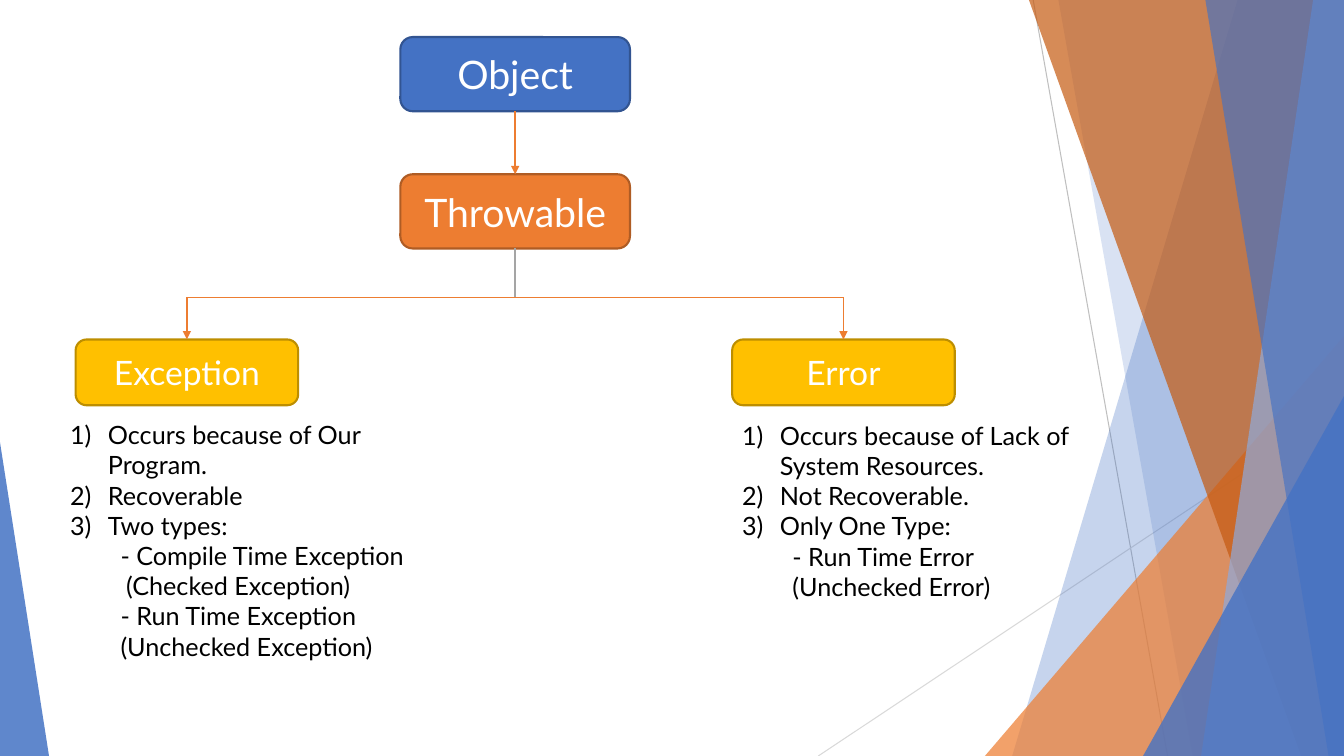
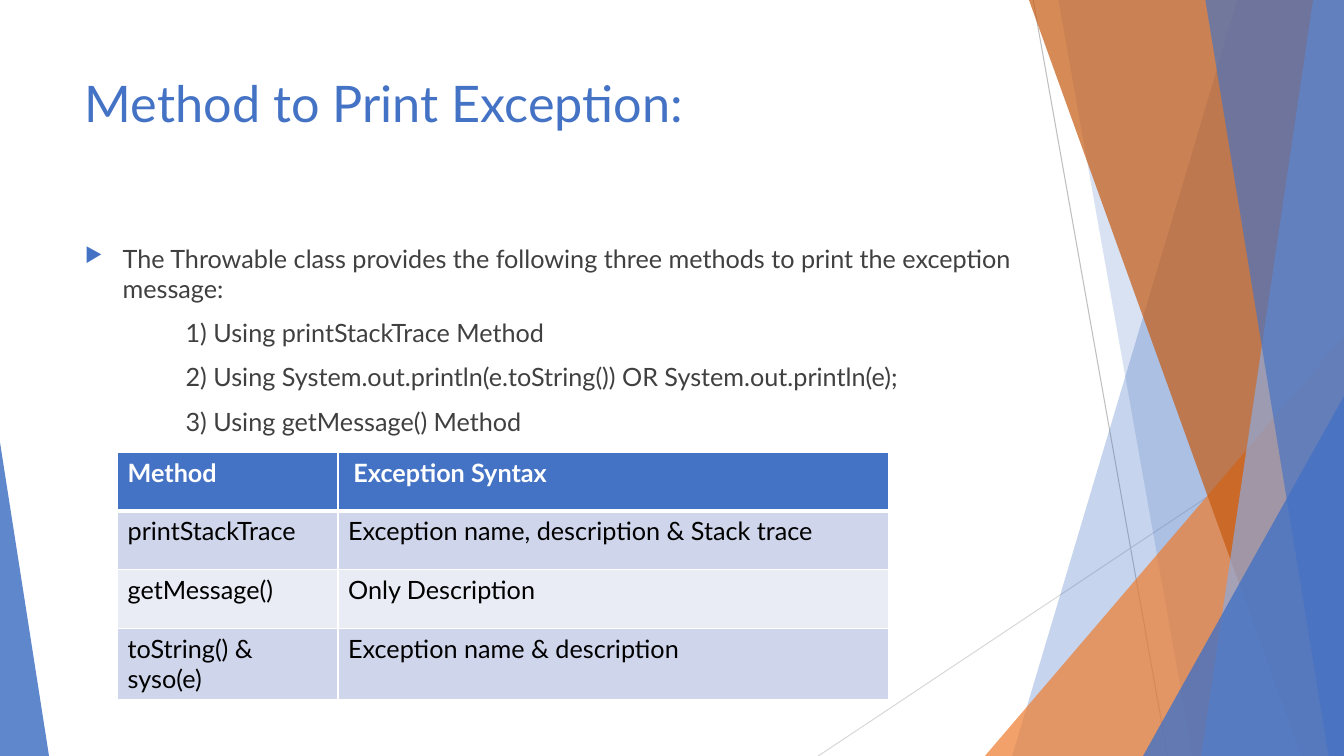
"""Build two slides on the Java exception classes and how to print them."""
from lxml.etree import SubElement as Sub
from pptx import Presentation
from pptx.dml.color import RGBColor as RGB
from pptx.enum.shapes import MSO_CONNECTOR as Conn, MSO_SHAPE as Shape
from pptx.enum.text import MSO_ANCHOR as Anchor, MSO_AUTO_SIZE as Auto, PP_ALIGN as Align
from pptx.oxml.ns import qn
from pptx.util import Pt

WIDE, HIGH = 960, 540
FACE = "Lato"
WHITE = RGB(0xFF, 0xFF, 0xFF)
BLACK = RGB(0, 0, 0)
DARK = RGB(0x40, 0x40, 0x40)
BLUE = RGB(0x44, 0x72, 0xC4)
NAVY = RGB(0x32, 0x54, 0x91)
SKY = RGB(0x8F, 0xAA, 0xDC)
ORANGE = RGB(0xED, 0x7D, 0x31)
RUST = RGB(0xC5, 0x5A, 0x11)
BROWN = RGB(0xAF, 0x5C, 0x24)
GOLD = RGB(0xFF, 0xC0, 0x00)
OCHRE = RGB(0xBD, 0x8E, 0x00)
GREY = RGB(0xA5, 0xA5, 0xA5)
SILVER = RGB(0xBF, 0xBF, 0xBF)
PALE = RGB(0xD9, 0xD9, 0xD9)
BAND = RGB(0xCF, 0xD5, 0xEA)
MIST = RGB(0xE9, 0xEB, 0xF5)

NUMBER = {"marL": 27, "indent": -27, "bullet": "number"}
ARROW = {"marL": 27, "indent": -27, "bullet": "arrow"}


def style(item, **vals):
    """Set each format value on an object."""
    for key, val in vals.items():
        setattr(item, key, val)


def paint(item, color):
    """Give a shape or cell a solid fill."""
    item.fill.solid()
    item.fill.fore_color.rgb = color


def write(para, text, size, color, bold=False):
    """Add one formatted run to a paragraph."""
    run = para.add_run()
    style(run, text=text)
    style(run.font, name=FACE, size=Pt(size), bold=bold)
    run.font.color.rgb = color


def wire(slide, start, end, color, width=1, arrow=False, joins=(None, None)):
    """Draw a straight line, joined to shapes where given."""
    line = slide.shapes.add_connector(Conn.STRAIGHT, *map(Pt, start + end))
    line.line.color.rgb = color
    line.line.width = Pt(width)
    if arrow:
        Sub(line.line._get_or_add_ln(), qn("a:tailEnd"), type="triangle")
    Sub(line.element.spPr, qn("a:effectLst"))
    for join, act in zip(joins, (line.begin_connect, line.end_connect)):
        if join:
            act(*join)


def glaze(shape, color, alpha):
    """Fill a borderless shape with a see-through colour."""
    paint(shape, color)
    shape.line.fill.background()
    shape.shadow.inherit = False
    tint = shape.element.spPr.find(qn("a:solidFill"))[0]
    Sub(tint, qn("a:alpha"), val=str(alpha * 1000))


def band(slide, top, foot, color, alpha):
    """Draw a slanted band that runs to the right edge."""
    form = slide.shapes.build_freeform(Pt(top), 0)
    ends = (WIDE, 0), (WIDE, HIGH), (foot, HIGH)
    form.add_line_segments([(Pt(x), Pt(y)) for x, y in ends])
    glaze(form.convert_to_shape(), color, alpha)


def wedge(slide, left, top, width, apex, color, alpha):
    """Draw a right triangle that stands on the bottom edge."""
    box = map(Pt, (left, top, width, HIGH - top))
    shape = slide.shapes.add_shape(Shape.ISOSCELES_TRIANGLE, *box)
    shape.adjustments[0] = apex
    glaze(shape, color, alpha)


def decor(deck, slide):
    """Draw the shared facets and move them to the master."""
    wire(slide, (738, 0), (834, HIGH), SILVER, 0.75)
    wire(slide, (WIDE, 290), (584.5, HIGH), PALE, 0.75)
    band(slide, 884, 723, BLUE, 30)
    band(slide, 756, 852, BLUE, 20)
    wedge(slide, 703.5, 240, 256.5, 1, ORANGE, 72)
    band(slide, 735, 929.5, RUST, 70)
    band(slide, 938, 858, SKY, 70)
    band(slide, 861, 949, BLUE, 65)
    wedge(slide, 816.5, 283, 143.5, 1, BLUE, 80)
    wedge(slide, 0, 316, 35, 0, BLUE, 85)
    tree = deck.slide_master.shapes.element
    for num, shape in enumerate(list(slide.shapes)):
        shape.element.xpath(".//p:cNvPr")[0].set("id", str(100 + num))
        tree.insert(2 + num, shape.element)


def node(slide, text, box, size, color, edge):
    """Draw a rounded class box."""
    shape = slide.shapes.add_shape(Shape.ROUNDED_RECTANGLE, *map(Pt, box))
    paint(shape, color)
    shape.shadow.inherit = False
    shape.line.color.rgb = edge
    shape.line.width = Pt(1.5)
    style(shape.text_frame, vertical_anchor=Anchor.MIDDLE, word_wrap=True)
    para = shape.text_frame.paragraphs[0]
    para.alignment = Align.CENTER
    write(para, text, size, WHITE)
    return shape


def mark(para, marL=0, indent=0, bullet=None):
    """Set the indents and the bullet of a paragraph."""
    props = para._p.get_or_add_pPr()
    for key, val in {"marL": marL, "indent": indent}.items():
        props.set(key, str(Pt(val)))
    if bullet == "number":
        Sub(props, qn("a:buAutoNum"), type="arabicParenR")
    elif bullet == "arrow":
        Sub(Sub(props, qn("a:buClr")), qn("a:srgbClr"), val=str(BLUE))
        Sub(props, qn("a:buSzPct"), val="80000")
        Sub(props, qn("a:buChar"), char="▶")


def notes(slide, box, items, color=BLACK, gap=0):
    """Add a text box with one paragraph for each item."""
    frame = slide.shapes.add_textbox(*map(Pt, box)).text_frame
    frame.word_wrap = True
    for num, (text, form) in enumerate(items):
        para = frame.add_paragraph() if num else frame.paragraphs[0]
        if num and gap:
            para.space_before = Pt(gap)
        mark(para, **form)
        write(para, text, 18, color)


def edges(cell, widths):
    """Give a cell white borders: left, right, top, bottom."""
    props = cell._tc.get_or_add_tcPr()
    for side, width in zip("LRTB", widths):
        line = Sub(props, qn("a:ln" + side), w=str(Pt(width)))
        Sub(Sub(line, qn("a:solidFill")), qn("a:srgbClr"), val=str(WHITE))


def grid(slide, left, top, cols, rows, data):
    """Add a table with a header and striped rows."""
    box = map(Pt, (left, top, sum(cols), sum(rows)))
    table = slide.shapes.add_table(len(rows), len(cols), *box).table
    style(table, first_row=False, horz_banding=False)
    for col, width in zip(table.columns, cols):
        col.width = Pt(width)
    for num, (row, height) in enumerate(zip(table.rows, rows)):
        row.height = Pt(height)
        head = num == 0
        fill = BLUE if head else (MIST, BAND)[num % 2]
        for cell, text in zip(row.cells, data[num]):
            edges(cell, (1, 1, 3 if num == 1 else 1, 3 if head else 1))
            paint(cell, fill)
            write(cell.text_frame.paragraphs[0], text, 18, WHITE if head else BLACK, head)
    table.cell(0, 1).margin_left = Pt(11)


def tree(slide):
    """Draw the class tree with its two lists."""
    mid, bar, low, size = 368, 212.5, 242.5, (159, 47)
    root = node(slide, "Object", (286, 26.5, 164, 53), 28, BLUE, NAVY)
    base = node(slide, "Throwable", (286, 124.5, 164, 53), 28, ORANGE, BROWN)
    wire(slide, (mid, 79.5), (mid, 124.5), ORANGE, arrow=True, joins=((root, 2), (base, 0)))
    wire(slide, (mid, 177.5), (mid, bar), GREY, joins=((base, 2), None))
    lefts = {"Exception": 54, "Error": 523}
    ends = [left + size[0] / 2 for left in lefts.values()]
    wire(slide, (ends[0], bar), (ends[1], bar), ORANGE)
    for (text, left), x in zip(lefts.items(), ends):
        leaf = node(slide, text, (left, low) + size, 24, GOLD, OCHRE)
        wire(slide, (x, bar), (x, low), ORANGE, arrow=True, joins=(None, (leaf, 0)))
    sub = {"marL": 36}
    notes(slide, (43, 296, 284.5, 181.5), [
        ("Occurs because of Our Program.", NUMBER),
        ("Recoverable", NUMBER),
        ("Two types:", NUMBER),
        ("- Compile Time Exception", sub),
        ("(Checked Exception)", {"marL": 40}),
        ("- Run Time Exception", sub),
        ("(Unchecked Exception)", sub),
    ])
    notes(slide, (523, 296.5, 268, 138), [
        ("Occurs because of Lack of System Resources.", NUMBER),
        ("Not Recoverable.", NUMBER),
        ("Only One Type:", NUMBER),
        ("- Run Time Error", sub),
        ("(Unchecked Error)", sub),
    ])


def prints(slide):
    """Fill the slide on the printing methods."""
    title = slide.shapes.title
    style(title, left=Pt(53.5), top=Pt(48), width=Pt(677), height=Pt(104))
    style(title.text_frame, vertical_anchor=Anchor.TOP, word_wrap=True, auto_size=Auto.NONE)
    para = title.text_frame.paragraphs[0]
    para.alignment = Align.LEFT
    write(para, "Method to Print Exception:", 36, BLUE)
    sub = {"marL": 72}
    notes(slide, (53.5, 170, 677, 305), [
        ("The Throwable class provides the following three methods to print the exception message:", ARROW),
        ("1) Using printStackTrace Method", sub),
        ("2) Using System.out.println(e.toString()) OR System.out.println(e);", sub),
        ("3) Using getMessage() Method", sub),
    ], DARK, 10)
    grid(slide, 84, 323, (157.5, 393), (42, 42, 42, 50.5), [
        ("Method", "Exception Syntax"),
        ("printStackTrace", "Exception name, description & Stack trace"),
        ("getMessage()", "Only Description"),
        ("toString() & syso(e)", "Exception name & description"),
    ])


def main():
    """Build and save the deck."""
    deck = Presentation()
    style(deck, slide_width=Pt(WIDE), slide_height=Pt(HIGH))
    first = deck.slides.add_slide(deck.slide_layouts[6])
    decor(deck, first)
    tree(first)
    prints(deck.slides.add_slide(deck.slide_layouts[5]))
    deck.save("out.pptx")


if __name__ == "__main__":
    main()
